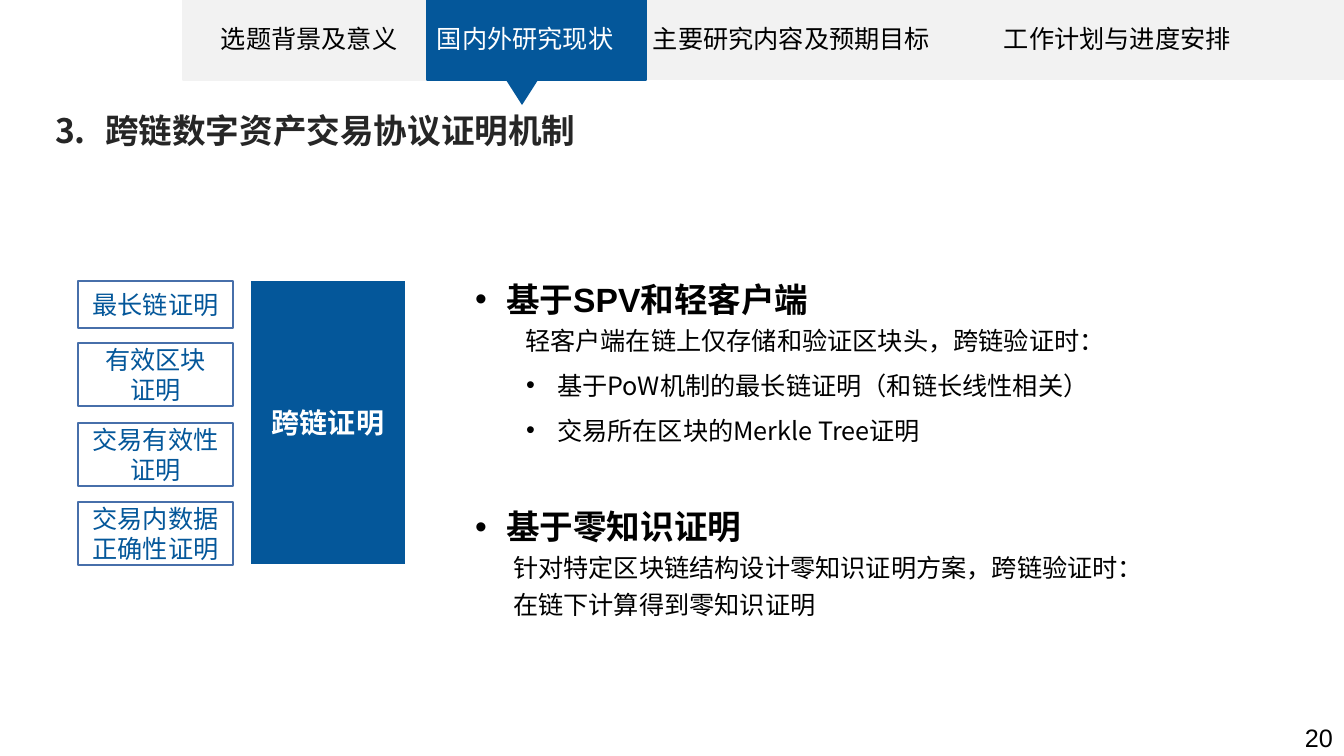
"""Build the slide on proof mechanisms of cross-chain digital asset trading protocols."""
from lxml.etree import SubElement
from pptx import Presentation
from pptx.dml.color import RGBColor
from pptx.enum.shapes import MSO_SHAPE
from pptx.enum.text import MSO_ANCHOR, MSO_AUTO_SIZE, PP_ALIGN
from pptx.oxml.ns import qn
from pptx.util import Pt

SCALE = 914400 / 100.8
COLORS = {
    "blue": "04579A",
    "outline": "476FAA",
    "gray": "F2F2F2",
    "white": "FFFFFF",
    "black": "000000",
    "heading": "262626",
}
LATIN, CHINESE = "Arial", "Noto Sans CJK SC"


def px(length):
    return round(length * SCALE)


def add_span(para, text, size, color, bold=False, font=LATIN):
    span = para.add_run()
    span.text = text
    span.font.size = Pt(size)
    span.font.bold = bold
    span.font.color.rgb = RGBColor.from_string(COLORS[color])
    span.font.name = font
    SubElement(span.font._element, qn("a:ea"), typeface=CHINESE)


deck = Presentation()
deck.slide_width, deck.slide_height = px(1344), px(756)
page = deck.slides.add_slide(deck.slide_layouts[1])
title, body = page.shapes.title, page.placeholders[1]

RECT, TRIANGLE = MSO_SHAPE.RECTANGLE, MSO_SHAPE.ISOSCELES_TRIANGLE
panels = [
    (RECT, 646, 0, 344, 80, "gray", None, []),
    (RECT, 990, 0, 354, 80, "gray", None, []),
    (RECT, 183, 0, 244, 80, "gray", "gray", []),
    (RECT, 427, 0, 219, 80, "blue", "blue", []),
    (TRIANGLE, 506, 80, 32, 25, "blue", None, []),
    (RECT, 78, 281, 155, 47, "white", "outline", ["最长链证明"]),
    (RECT, 78, 343, 155, 63, "white", "outline", ["有效区块", "证明"]),
    (RECT, 78, 423, 155, 63, "white", "outline", ["交易有效性证明"]),
    (RECT, 78, 502, 155, 63, "white", "outline", ["交易内数据", "正确性证明"]),
    (RECT, 251, 281, 154, 283, "blue", None, ["跨链证明"]),
]
for kind, left, top, width, height, fill, line, texts in panels:
    panel = page.shapes.add_shape(kind, px(left), px(top), px(width), px(height))
    panel.shadow.inherit = False
    panel.rotation = 180 if kind == TRIANGLE else 0
    panel.fill.solid()
    panel.fill.fore_color.rgb = RGBColor.from_string(COLORS[fill])
    if line:
        panel.line.color.rgb = RGBColor.from_string(COLORS[line])
        panel.line.width = Pt(1)
    else:
        panel.line.fill.background()
    frame = panel.text_frame
    frame.vertical_anchor = MSO_ANCHOR.MIDDLE
    for index, text in enumerate(texts):
        para = frame.add_paragraph() if index else frame.paragraphs[0]
        para.alignment = PP_ALIGN.CENTER
        if fill == "blue":
            add_span(para, text, 20, "white", bold=True)
        else:
            add_span(para, text, 18, "blue")

navigation = page.shapes.add_textbox(px(201), px(18), px(1110), px(40))
navigation.text_frame.word_wrap = True
navigation.text_frame.margin_left = px(20)
para = navigation.text_frame.paragraphs[0]
tab_list = SubElement(para._p.get_or_add_pPr(), qn("a:tabLst"))
for stop in (216, 432, 783):
    SubElement(tab_list, qn("a:tab"), pos=str(px(stop)), algn="l")
add_span(para, "选题背景及意义\t", 18, "black")
add_span(para, "国内外研究现状\t", 18, "white")
add_span(para, "主要研究内容及预期目标\t工作计划与进度安排", 18, "black")

for holder, left, top, width, height in (
    (title, 45, 105, 698, 50),
    (body, 465, 266, 817, 359),
):
    holder.left, holder.top = px(left), px(top)
    holder.width, holder.height = px(width), px(height)
    holder.text_frame.word_wrap = True
    holder.text_frame.auto_size = MSO_AUTO_SIZE.NONE
    holder.text_frame.vertical_anchor = MSO_ANCHOR.TOP

para = title.text_frame.paragraphs[0]
para.alignment = PP_ALIGN.LEFT
properties = para._p.get_or_add_pPr()
properties.set("marL", str(px(50)))
properties.set("indent", str(px(-50)))
SubElement(properties, qn("a:buFont"), typeface=CHINESE)
SubElement(properties, qn("a:buAutoNum"), type="arabicPeriod", startAt="3")
add_span(para, "跨链数字资产交易协议证明机制", 24, "heading", bold=True, font=CHINESE)

items = [
    ("基于SPV和轻客户端", 0, 31, -31, 0, 0, True, True),
    ("轻客户端在链上仅存储和验证区块头，跨链验证时：", 0, 0, 50, 0, 6, False, False),
    ("基于PoW机制的最长链证明（和链长线性相关）", 1, 82, -31, 0, 6, True, False),
    ("交易所在区块的Merkle Tree证明", 1, 82, -31, 0, 6, True, False),
    ("基于零知识证明", 0, 31, -31, 32, 0, True, True),
    ("针对特定区块链结构设计零知识证明方案，跨链验证时：", 0, 38, 0, 0, 0, False, False),
    ("在链下计算得到零知识证明", 0, 38, 0, 0, 0, False, False),
]
for index, (text, level, margin, indent, before, after, bullet, heading) in enumerate(items):
    para = body.text_frame.add_paragraph() if index else body.text_frame.paragraphs[0]
    para.level = level
    para.line_spacing = 1.2
    para.space_before, para.space_after = Pt(before), Pt(after)
    properties = para._p.get_or_add_pPr()
    properties.set("marL", str(px(margin)))
    properties.set("indent", str(px(indent)))
    if bullet:
        SubElement(properties, qn("a:buFont"), typeface=LATIN)
        SubElement(properties, qn("a:buChar"), char="•")
    else:
        SubElement(properties, qn("a:buNone"))
    if heading:
        add_span(para, text, 24, "black", bold=True)
    else:
        add_span(para, text, 18, "black", font=CHINESE)

number = page.shapes.add_textbox(px(1294), px(717), px(50), px(40))
number.text_frame.word_wrap = True
para = number.text_frame.paragraphs[0]
para.alignment = PP_ALIGN.CENTER
add_span(para, "20", 18, "black")

deck.save("out.pptx")
